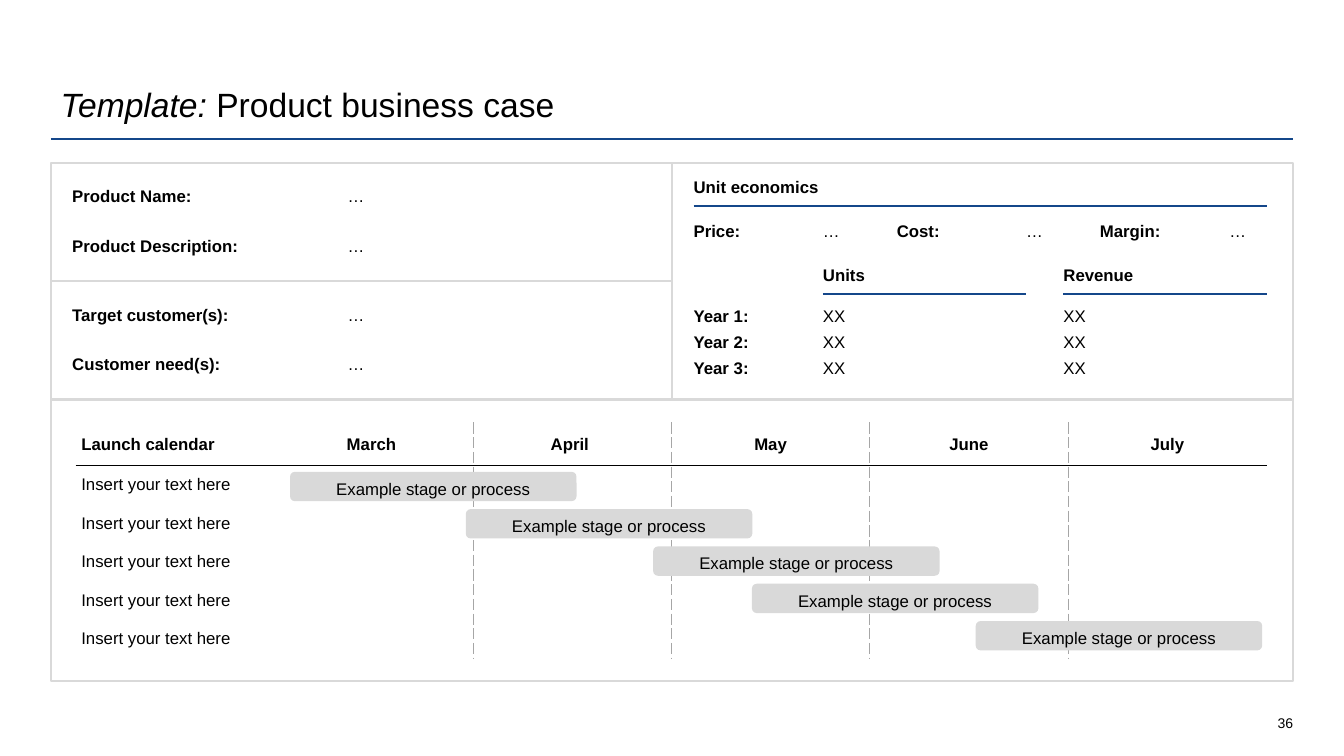
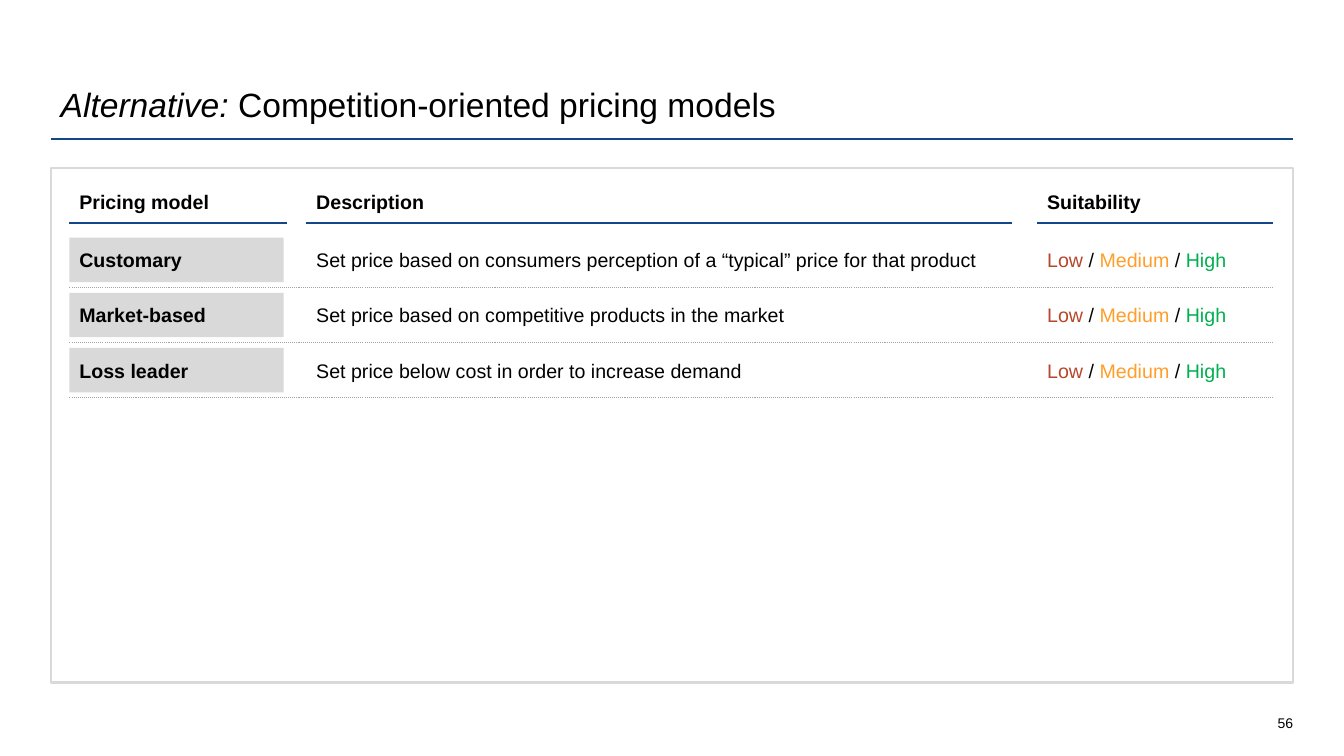
from dataclasses import dataclass
from typing import NamedTuple, Optional, Sequence

from lxml.etree import SubElement
from pptx import Presentation
from pptx.dml.color import RGBColor
from pptx.enum.dml import MSO_LINE_DASH_STYLE as Dash
from pptx.enum.shapes import MSO_CONNECTOR as Connector, MSO_SHAPE as Shape
from pptx.enum.text import MSO_ANCHOR as Anchor, PP_ALIGN as Align
from pptx.oxml.ns import qn
from pptx.util import Cm, Pt


# Theme and page geometry (lengths in centimetres)
@dataclass(frozen=True)
class Theme:
    font: str = "Arial"
    black: RGBColor = RGBColor(0x00, 0x00, 0x00)
    white: RGBColor = RGBColor(0xFF, 0xFF, 0xFF)
    navy: RGBColor = RGBColor(0x14, 0x47, 0x8A)
    grey: RGBColor = RGBColor(0xD9, 0xD9, 0xD9)
    divider: RGBColor = RGBColor(0xA3, 0xA3, 0xA3)
    grid: RGBColor = RGBColor(0xA6, 0xA6, 0xA6)
    low: RGBColor = RGBColor(0xB7, 0x47, 0x2A)
    medium: RGBColor = RGBColor(0xFF, 0x9F, 0x29)
    high: RGBColor = RGBColor(0x00, 0xB0, 0x50)
    title_size: int = 24
    table_size: int = 14
    body_size: int = 12
    number_size: int = 10
    rule_width: float = 1.5


THEME = Theme()
PAGE_LEFT, PAGE_WIDTH = 1.28, 31.31
PAGE_RIGHT = PAGE_LEFT + PAGE_WIDTH


class Box(NamedTuple):
    left: float
    top: float
    width: float
    height: float

    def lengths(self) -> list:
        return [Cm(value) for value in self]


class Span(NamedTuple):
    text: str
    bold: bool = False
    italic: bool = False
    color: RGBColor = THEME.black


class Pen(NamedTuple):
    color: RGBColor
    width: float
    dash: str = "solid"


class Stage(NamedTuple):
    left: float
    text: str = "Example stage or process"


class Column(NamedTuple):
    heading: str
    left: float
    rule_width: float
    cell_width: float


class PricingModel(NamedTuple):
    name: str
    description: str


# Drawing helpers
def write(frame, spans: Sequence[Span], size: int, align=Align.LEFT,
          anchor=Anchor.TOP, spacing: Optional[float] = None) -> None:
    frame.word_wrap = True
    frame.vertical_anchor = anchor
    paragraph = frame.paragraphs[0]
    paragraph.text = spans[0].text
    for span in spans[1:]:
        paragraph.add_run().text = span.text
    paragraph.alignment = align
    if spacing:
        paragraph.line_spacing = spacing
    for run, span in zip(paragraph.runs, spans):
        run.font.name = THEME.font
        run.font.size = Pt(size)
        run.font.bold = span.bold
        run.font.italic = span.italic
        run.font.color.rgb = span.color


def add_text(slide, box: Box, spans: Sequence[Span], size: int,
             inset: bool = True, **layout) -> None:
    frame = slide.shapes.add_textbox(*box.lengths()).text_frame
    if not inset:
        frame.margin_left = frame.margin_right = 0
        frame.margin_top = frame.margin_bottom = 0
    write(frame, spans, size, **layout)


def add_label(slide, left: float, top: float, width: float, text: str,
              bold: bool = False) -> None:
    add_text(slide, Box(left, top, width, 0.42), [Span(text, bold)],
             THEME.body_size, inset=False)


def add_rule(slide, left: float, right: float, y: float,
             color: RGBColor = THEME.navy, width: float = THEME.rule_width,
             dash: Optional[Dash] = None) -> None:
    rule = slide.shapes.add_connector(Connector.STRAIGHT, Cm(left), Cm(y), Cm(right), Cm(y))
    rule.line.color.rgb = color
    rule.line.width = Pt(width)
    if dash is not None:
        rule.line.dash_style = dash
    SubElement(rule._element.spPr, qn("a:effectLst"))


def add_panel(slide, box: Box) -> None:
    panel = slide.shapes.add_shape(Shape.RECTANGLE, *box.lengths())
    panel.shadow.inherit = False
    panel.fill.background()
    panel.line.color.rgb = THEME.grey
    panel.line.width = Pt(THEME.rule_width)


def add_block(slide, kind: Shape, box: Box, fill: RGBColor,
              spans: Sequence[Span], size: int, **layout):
    block = slide.shapes.add_shape(kind, *box.lengths())
    block.shadow.inherit = False
    block.fill.solid()
    block.fill.fore_color.rgb = fill
    block.line.fill.background()
    write(block.text_frame, spans, size, anchor=Anchor.MIDDLE, **layout)
    return block


def set_border(cell, side: str, pen: Optional[Pen]) -> None:
    properties = cell._tc.get_or_add_tcPr()
    if pen is None:
        line = SubElement(properties, qn(f"a:ln{side}"), w="0")
        SubElement(line, qn("a:noFill"))
        return
    line = SubElement(properties, qn(f"a:ln{side}"), w=str(Pt(pen.width)))
    fill = SubElement(line, qn("a:solidFill"))
    SubElement(fill, qn("a:srgbClr"), val=str(pen.color))
    SubElement(line, qn("a:prstDash"), val=pen.dash)


def start_slide(presentation, kind: str, title: str, number: int):
    """Blank slide with the shared title, rule and page number."""
    slide = presentation.slides.add_slide(presentation.slide_layouts[6])
    add_rule(slide, PAGE_LEFT, PAGE_RIGHT, 3.5)
    add_text(slide, Box(PAGE_LEFT, 1.02, PAGE_WIDTH, 2.26),
             [Span(f"{kind}: ", italic=True), Span(title)],
             THEME.title_size, anchor=Anchor.BOTTOM, spacing=0.9)
    add_text(slide, Box(PAGE_RIGHT - 1.61, 17.58, 1.61, 0.84), [Span(str(number))],
             THEME.number_size, inset=False, align=Align.RIGHT, anchor=Anchor.BOTTOM)
    return slide


# Product business case
PANEL_TOP, PANEL_HEIGHT = 4.11, 2.98
CALENDAR_TOP = PANEL_TOP + 2 * PANEL_HEIGHT
FACTS = (("Product Name:", "Product Description:"),
         ("Target customer(s):", "Customer need(s):"))
MONTHS = ("March ", "April ", "May", "June", "July")
STAGES = tuple(Stage(left) for left in (7.31, 11.74, 16.46, 18.95, 24.59))


def add_facts(slide) -> None:
    for panel_index, labels in enumerate(FACTS):
        top = PANEL_TOP + panel_index * PANEL_HEIGHT
        add_panel(slide, Box(PAGE_LEFT, top, PAGE_WIDTH / 2, PANEL_HEIGHT))
        for index, label in enumerate(labels):
            y = top + 0.58 + index * 1.24
            add_label(slide, 1.82, y, 6.4, label, bold=True)
            add_label(slide, 8.76, y, 7.49, "…")


def add_economics(slide) -> None:
    left, right, value_offset, column_width = 17.48, 31.92, 3.26, 5.12
    add_panel(slide, Box(PAGE_LEFT + PAGE_WIDTH / 2, PANEL_TOP,
                         PAGE_WIDTH / 2, 2 * PANEL_HEIGHT))
    add_label(slide, left, 4.45, right - left, "Unit economics", bold=True)
    add_rule(slide, left, right, 5.2)
    for index, label in enumerate(("Price:", "Cost:", "Margin:")):
        x = left + index * column_width
        add_label(slide, x, 5.56, 2.49, label, bold=True)
        add_label(slide, x + value_offset, 5.56, 1.6, "…")

    year_tops = [7.7 + 0.66 * index for index in range(3)]
    for year, top in enumerate(year_tops, start=1):
        add_label(slide, left, top, 2.49, f"Year {year}:", bold=True)
    for heading, x in (("Units", left + value_offset), ("Revenue", right - column_width)):
        add_label(slide, x, 6.68, column_width, heading, bold=True)
        add_rule(slide, x, x + column_width, 7.41)
        for top in year_tops:
            add_label(slide, x, top, column_width, "XX")


def add_calendar(slide) -> None:
    blank = Pen(THEME.white, 1)
    month_line = Pen(THEME.grid, 0.5, "sysDash")
    header_line = Pen(THEME.black, 0.75)
    rows = [("Launch calendar", *MONTHS)]
    rows += [("Insert your text here", *[""] * len(MONTHS)) for _ in STAGES]
    last_column = len(MONTHS)

    add_panel(slide, Box(PAGE_LEFT, CALENDAR_TOP, PAGE_WIDTH, 7.1))
    table = slide.shapes.add_table(len(rows), last_column + 1,
                                   *Box(1.92, 10.66, 30, 5.92).lengths()).table
    table.first_row = table.horz_banding = False
    for column in table.columns:
        column.width = Cm(5)
    for row_index, texts in enumerate(rows):
        is_header = row_index == 0
        table.rows[row_index].height = Cm(1.07 if is_header else 0.97)
        for column_index, text in enumerate(texts):
            cell = table.cell(row_index, column_index)
            set_border(cell, "L", month_line if column_index > 1 else blank)
            set_border(cell, "R", month_line if 0 < column_index < last_column else blank)
            set_border(cell, "T", blank if is_header else header_line if row_index == 1 else None)
            set_border(cell, "B", header_line if is_header else None)
            cell.fill.solid()
            cell.fill.fore_color.rgb = THEME.white
            cell.margin_left = cell.margin_right = Cm(0.13)
            cell.margin_top = cell.margin_bottom = 0
            cell.vertical_anchor = Anchor.MIDDLE
            if text:
                write(cell.text_frame, [Span(text, bold=is_header)], THEME.body_size,
                      align=Align.CENTER if column_index else Align.LEFT,
                      anchor=Anchor.MIDDLE)

    for index, stage in enumerate(STAGES):
        bar = add_block(slide, Shape.ROUNDED_RECTANGLE,
                        Box(stage.left, 11.89 + index * 0.94, 7.22, 0.74), THEME.grey,
                        [Span(stage.text)], THEME.body_size,
                        align=Align.CENTER, spacing=1.2)
        bar.text_frame.margin_top = bar.text_frame.margin_bottom = 0


# Competition-oriented pricing models
COLUMNS = (Column("Pricing model", 1.75, 5.48, 5.4),
           Column("Description", 7.72, 17.78, 17.53),
           Column("Suitability", 26.14, 5.95, 5.87))
MODELS = (
    PricingModel("Customary", "Set price based on consumers perception of a “typical” price "
                 "for that product"),
    PricingModel("Market-based", "Set price based on competitive products in the market"),
    PricingModel("Loss leader", "Set price below cost in order to increase demand"),
)
RATING = (Span("Low ", color=THEME.low), Span("/ "),
          Span("Medium ", color=THEME.medium), Span("/ "),
          Span("High", color=THEME.high))


def add_pricing_models(slide) -> None:
    add_panel(slide, Box(PAGE_LEFT, 4.23, PAGE_WIDTH, 12.97))
    for column in COLUMNS:
        add_text(slide, Box(column.left, 4.55, column.rule_width, 0.91),
                 [Span(column.heading, bold=True)], THEME.table_size, spacing=1.2)
        add_rule(slide, column.left, column.left + column.rule_width, 5.63)

    table_right = COLUMNS[-1].left + COLUMNS[-1].rule_width
    for index, model in enumerate(MODELS):
        top = 5.99 + index * 1.39
        add_rule(slide, COLUMNS[0].left, table_right, top + 1.25,
                 THEME.divider, 0.75, Dash.ROUND_DOT)
        contents = ([Span(model.name, bold=True)], [Span(model.description)], RATING)
        fills = (THEME.grey, THEME.white, THEME.white)
        for column, spans, fill in zip(COLUMNS, contents, fills):
            add_block(slide, Shape.RECTANGLE, Box(column.left, top, column.cell_width, 1.12),
                      fill, spans, THEME.table_size)


def main() -> None:
    presentation = Presentation()
    presentation.slide_width, presentation.slide_height = Cm(33.87), Cm(19.05)

    business_case = start_slide(presentation, "Template", "Product business case", 36)
    add_facts(business_case)
    add_economics(business_case)
    add_calendar(business_case)

    add_pricing_models(start_slide(presentation, "Alternative",
                                   "Competition-oriented pricing models", 56))
    presentation.save("out.pptx")


if __name__ == "__main__":
    main()
